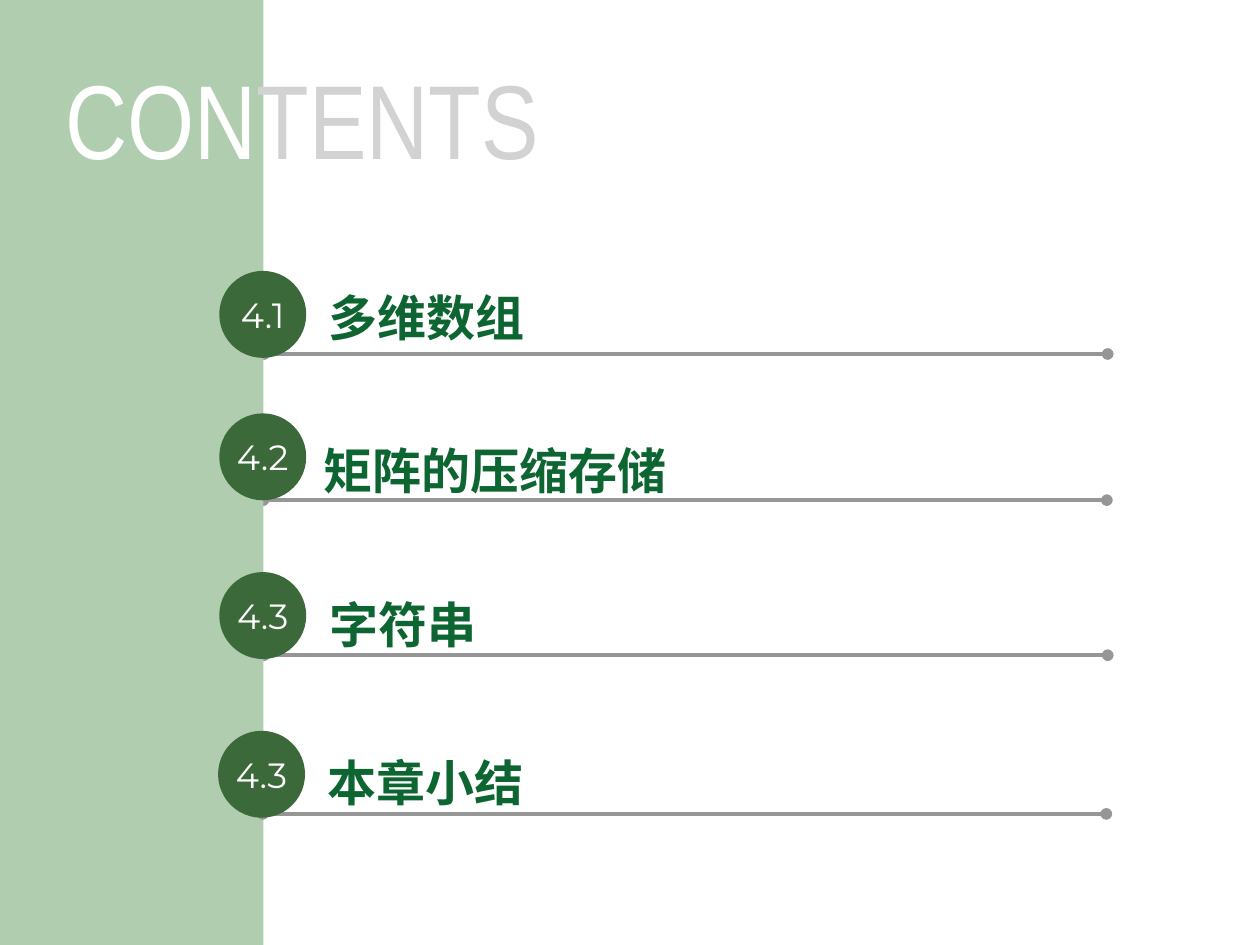
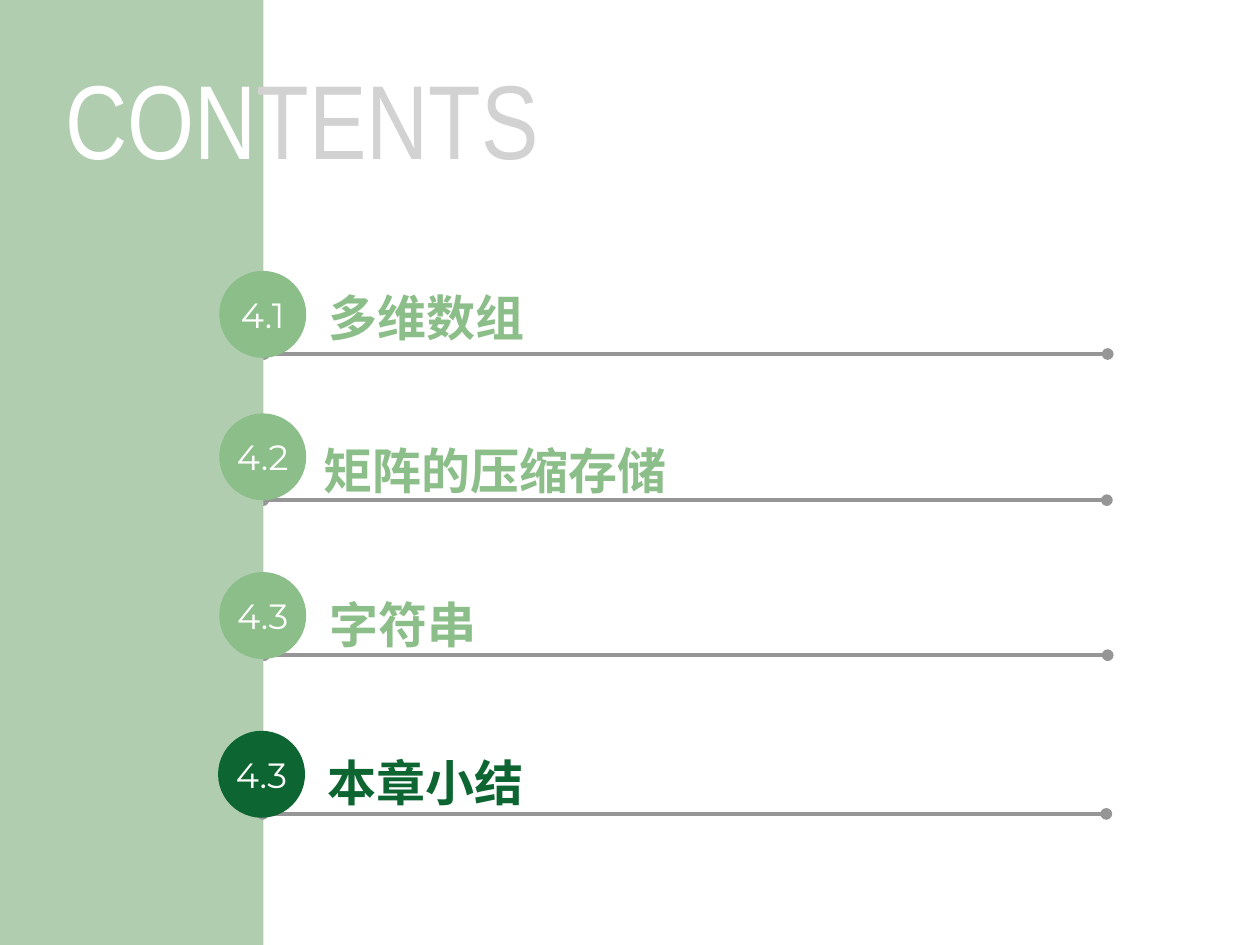
"""Build the two contents slides of chapter 4."""
from dataclasses import dataclass

from lxml import etree
from pptx import Presentation
from pptx.dml.color import RGBColor
from pptx.enum import shapes, text
from pptx.oxml import ns
from pptx.util import Pt

WHITE = RGBColor(0xFF, 0xFF, 0xFF)
PALE_GREY = RGBColor(0xD2, 0xD2, 0xD2)
RULE_GREY = RGBColor(0x96, 0x96, 0x96)
BAND_GREEN = RGBColor(0xB1, 0xCD, 0xB0)
BADGE_GREEN = RGBColor(0x3C, 0x69, 0x3A)
DEEP_GREEN = RGBColor(0x0D, 0x65, 0x31)
FADED_GREEN = RGBColor(0x8B, 0xBE, 0x88)

TITLE_FONT, NUMBER_FONT, LABEL_FONT = "Arial Narrow", "Montserrat", "Noto Sans CJK SC"
PAGE_WIDTH, PAGE_HEIGHT = 720, 540
BAND_WIDTH = 150.5
BADGE_SIZE = 49.7
LABEL_HEIGHT = 28.8
RULE_LENGTH = 482


@dataclass(frozen=True)
class Entry:
    """One line of the contents, with its places in points."""
    number: str
    label: str
    badge_left: float
    badge_top: float
    label_left: float
    label_top: float
    label_width: float
    rule_left: float
    rule_top: float


@dataclass(frozen=True)
class Tint:
    """Badge and label colours of one entry."""
    badge: RGBColor
    label: RGBColor


ENTRIES = (
    Entry("4.1", "多维数组", 125.3, 154.8, 180.7, 167, 454.3, 151, 202.3),
    Entry("4.2", "矩阵的压缩存储", 125.3, 236.2, 177.8, 254.2, 475.9, 150.5, 285.8),
    Entry("4.3", "字符串", 125.3, 326.9, 181.4, 342, 310.3, 151, 374.4),
    Entry("4.3", "本章小结", 124.6, 417.6, 180, 432.7, 310.3, 150.2, 465.1),
)
OVERVIEW = Tint(BADGE_GREEN, DEEP_GREEN)
FADED = Tint(FADED_GREEN, FADED_GREEN)
CURRENT = Tint(DEEP_GREEN, DEEP_GREEN)
PAGES = ((OVERVIEW,) * 4, (FADED,) * 3 + (CURRENT,))


def add_span(para, words: str, font: str, size: float, color: RGBColor,
             bold: bool = False) -> None:
    """Add one run to a paragraph."""
    span = para.add_run()
    span.text = words
    span.font.size = Pt(size)
    span.font.bold = bold
    span.font.color.rgb = color
    span.font.name = font
    properties = span.font._element
    etree.SubElement(properties, ns.qn("a:ea"), typeface=font)


def add_shape(page, kind, left: float, top: float, width: float, height: float,
              color: RGBColor):
    """Add a plain filled shape."""
    shape = page.shapes.add_shape(kind, Pt(left), Pt(top), Pt(width), Pt(height))
    shape.shadow.inherit = False
    shape.fill.solid()
    shape.fill.fore_color.rgb = color
    shape.line.fill.background()
    return shape


def add_text(page, left: float, top: float, width: float, height: float):
    """Add a wrapping, vertically centred text box and return its paragraph."""
    frame = page.shapes.add_textbox(Pt(left), Pt(top), Pt(width), Pt(height)).text_frame
    frame.word_wrap = True
    frame.vertical_anchor = text.MSO_ANCHOR.MIDDLE
    return frame.paragraphs[0]


def add_rule(page, entry: Entry) -> None:
    """Draw the grey line with round ends below an entry."""
    rule = page.shapes.add_connector(
        shapes.MSO_CONNECTOR.STRAIGHT, Pt(entry.rule_left), Pt(entry.rule_top),
        Pt(entry.rule_left + RULE_LENGTH), Pt(entry.rule_top))
    rule.line.color.rgb = RULE_GREY
    rule.line.width = Pt(2.25)
    outline = rule.line._get_or_add_ln()
    for end in ("a:headEnd", "a:tailEnd"):
        etree.SubElement(outline, ns.qn(end), type="oval")
    etree.SubElement(rule._element.spPr, ns.qn("a:effectLst"))


def add_entry(page, entry: Entry, tint: Tint) -> None:
    """Draw the numbered badge and the label of an entry."""
    badge = add_shape(page, shapes.MSO_SHAPE.OVAL, entry.badge_left, entry.badge_top,
                      BADGE_SIZE, BADGE_SIZE, tint.badge)
    frame = badge.text_frame
    frame.margin_left = frame.margin_right = frame.margin_top = frame.margin_bottom = 0
    frame.vertical_anchor = text.MSO_ANCHOR.MIDDLE
    para = frame.paragraphs[0]
    para.alignment = text.PP_ALIGN.CENTER
    add_span(para, entry.number, NUMBER_FONT, 20, WHITE)

    para = add_text(page, entry.label_left, entry.label_top, entry.label_width, LABEL_HEIGHT)
    add_span(para, entry.label, LABEL_FONT, 28, tint.label, bold=True)


def add_title(page) -> None:
    """Write the two-tone title across the edge of the band."""
    para = add_text(page, -2.9, 25.2, 351.4, 83.5)
    para.alignment = text.PP_ALIGN.CENTER
    add_span(para, "CON", TITLE_FONT, 60, WHITE)
    add_span(para, "TENTS", TITLE_FONT, 60, PALE_GREY)


def add_page(deck, tints: tuple[Tint, ...]) -> None:
    """Build one contents slide, with one tint for each entry."""
    page = deck.slides.add_slide(deck.slide_layouts[6])
    *upper_entries, last_entry = ENTRIES
    for entry in upper_entries:
        add_rule(page, entry)
    add_shape(page, shapes.MSO_SHAPE.RECTANGLE, 0, 0, BAND_WIDTH, PAGE_HEIGHT, BAND_GREEN)
    add_rule(page, last_entry)
    add_title(page)
    for entry, tint in zip(ENTRIES, tints):
        add_entry(page, entry, tint)


def main() -> None:
    """Build and save the deck."""
    deck = Presentation()
    deck.slide_width, deck.slide_height = Pt(PAGE_WIDTH), Pt(PAGE_HEIGHT)
    for tints in PAGES:
        add_page(deck, tints)
    deck.save("out.pptx")


if __name__ == "__main__":
    main()
